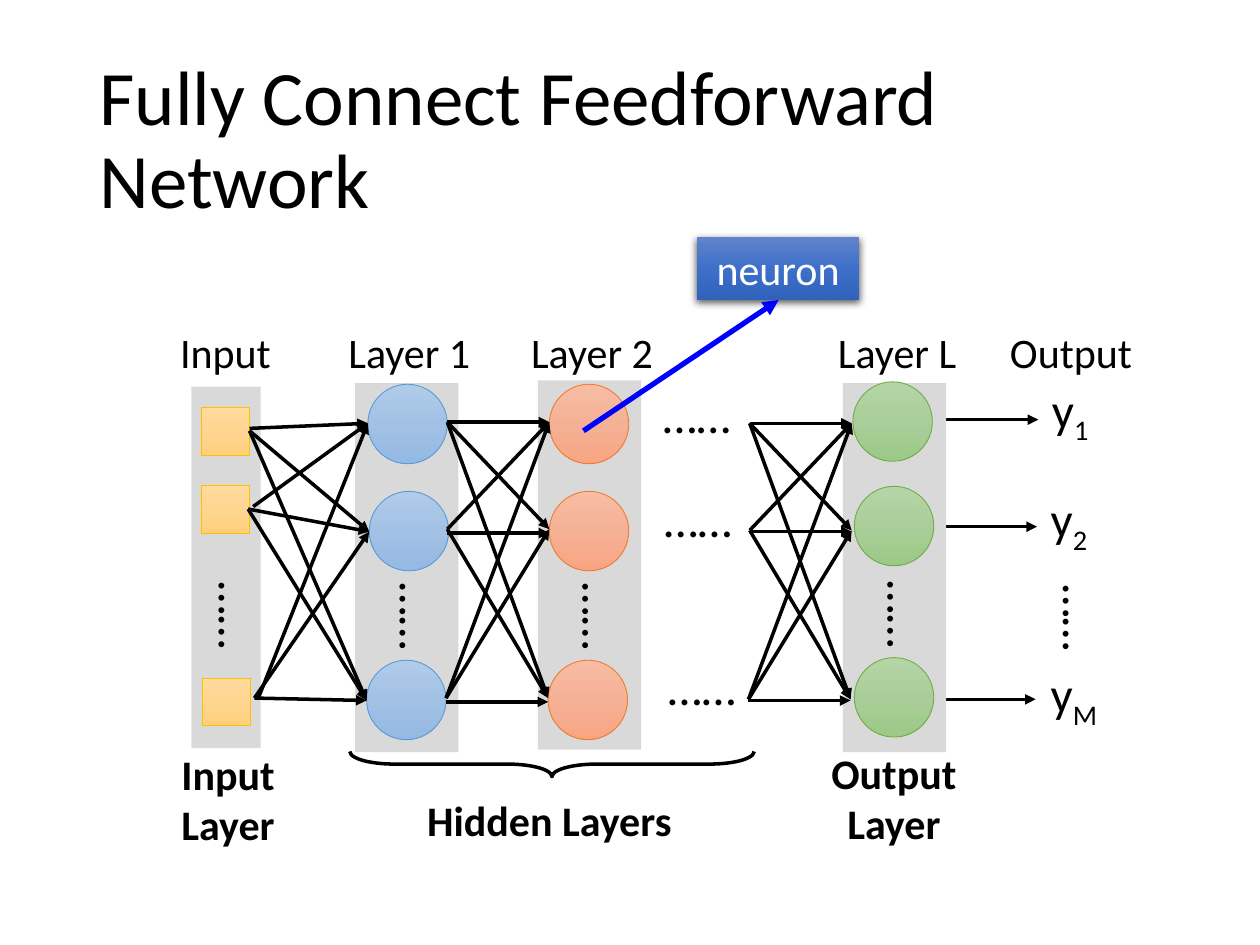
from dataclasses import dataclass, field
import copy
import itertools

import lxml.etree
import pptx
import pptx.dml.color
import pptx.enum.shapes
import pptx.enum.text
import pptx.oxml.ns
import pptx.util

Pt = pptx.util.Pt
qn = pptx.oxml.ns.qn
Shape = pptx.enum.shapes.MSO_SHAPE
Align = pptx.enum.text.PP_ALIGN
Anchor = pptx.enum.text.MSO_ANCHOR
AutoSize = pptx.enum.text.MSO_AUTO_SIZE
Point = tuple[float, float]

FONT = "Calibri"
BLACK = "000000"
BAND = "D9D9D9"
DOTS = "……"
DIAMETER = 45.4
SQUARE = 27.4


@dataclass
class Layer:
    label: str
    left: float
    top: float
    circles: list[Point]
    dots_top: float
    gradient: list[str]
    outline: str


@dataclass
class Bundle:
    starts: list[Point]
    ends: list[Point]
    straight_drops: tuple[float, float, float] = (0, 0, 0)
    start_nudges: dict[tuple[int, int], Point] = field(default_factory=dict)


LAYERS = [
    Layer("Layer 1", 203, 218.9, [(210.2, 219.6), (211, 280.8), (209.5, 377.3)],
          331.9, ["B1CBE9", "A3C1E5", "93B9E4"], "5B9BD5"),
    Layer("Layer 2", 307.4, 217.4, [(313.9, 219.6), (313.9, 280.8), (313.2, 377.3)],
          331.9, ["F7BDA5", "F5B196", "F8A582"], "ED7D31"),
    Layer("Layer L", 481.7, 218.9, [(487.4, 218.2), (488.2, 277.9), (488.2, 375.8)],
          330.5, ["B5D5A7", "AACE9A", "9CC987"], "70AD47"),
]
BUNDLES = [
    Bundle([(255.6, 241.2), (255.6, 302.4), (254.9, 398.9)],
           [(313.9, 241.2), (313.9, 302.4), (313.2, 398.9)], (0, 2.2, 2.2)),
    Bundle([(142.6, 246.2), (141.8, 290.9), (145.4, 398.9)],
           [(210.2, 241.9), (211, 303.8), (209.5, 400.3)],
           start_nudges={(0, 0): (0, -1.4), (1, 0): (2.9, -1.4), (2, 0): (2.2, 0)}),
    Bundle([(428.4, 241.9), (428.4, 303.1), (427.7, 399.6)],
           [(486.7, 241.9), (486.7, 303.1), (486, 399.6)], (0, 0.7, 0.7)),
]
INPUT_SQUARES = [(115.2, 232.6), (115.2, 277.2), (115.9, 387.4)]
INPUT_GRADIENT = ["FFDB9E", "FFD590", "FFD07C"]
LABELS = [("Input", 84.2, 182.9, 89.3, 36, False), ("Output", 567.4, 182.9, 89.3, 36, False),
          ("Input Layer", 93.6, 424.1, 73.4, 65.5, True),
          ("Hidden Layers", 232.6, 450.7, 162.7, 36, True),
          ("Output Layer", 465.1, 423.4, 91.4, 65.5, True)]
ROW_DOTS = [(367.9, 216), (368.6, 275.8), (370.8, 371.5)]
OUTPUTS = [("1", 594, 213.1), ("2", 593.3, 275.8), ("M", 593.3, 375.8)]
OUTPUT_ARROWS = [(510.5, 593.3, 239.8), (511.9, 592.6, 301), (520.6, 591.8, 399.6)]


def color(value: str) -> pptx.dml.color.RGBColor:
    return pptx.dml.color.RGBColor.from_string(value)


def write_text(frame, text: str, *, size: float = 24, bold: bool = False, fill: str = BLACK,
               align=Align.CENTER, subscript: str = "", spacing: float | None = None,
               anchor=Anchor.TOP, auto_size=AutoSize.SHAPE_TO_FIT_TEXT) -> None:
    frame.word_wrap = True
    frame.auto_size = auto_size
    frame.vertical_anchor = anchor
    paragraph = frame.paragraphs[0]
    paragraph.alignment = align
    if spacing:
        paragraph.line_spacing = spacing
    for part in filter(None, (text, subscript)):
        run = paragraph.add_run()
        run.text = part
        run.font.name, run.font.size, run.font.bold = FONT, Pt(size), bold
        run.font.color.rgb = color(fill)
    if subscript:
        run.font._element.set("baseline", "-25000")


def add_text(shapes, text: str, left: float, top: float, width: float, height: float,
             rotation: float = 0, **text_format) -> None:
    box = shapes.add_textbox(Pt(left), Pt(top), Pt(width), Pt(height))
    box.rotation = rotation
    write_text(box.text_frame, text, **text_format)


def add_dots(shapes, left: float, top: float, rotation: float = 0) -> None:
    add_text(shapes, DOTS, left, top, 60.5, 41, rotation, size=28)


def add_shape(shapes, kind, left: float, top: float, width: float, height: float,
              fill: str | None = None, gradient: list[str] | None = None,
              outline: str | None = None, weight: float = 0.5):
    shape = shapes.add_shape(kind, Pt(left), Pt(top), Pt(width), Pt(height))
    shape.shadow.inherit = False
    if gradient:
        shape.fill.gradient()
        shape.fill.gradient_angle = 270
        stop_list = shape._element.spPr.find(".//" + qn("a:gsLst"))
        stop_list.insert(1, copy.deepcopy(stop_list[0]))
        for stop, value, position in zip(shape.fill.gradient_stops, gradient, (0, 0.5, 1)):
            stop.color.rgb = color(value)
            stop.position = position
    elif fill:
        shape.fill.solid()
        shape.fill.fore_color.rgb = color(fill)
    else:
        shape.fill.background()
    if outline:
        shape.line.color.rgb = color(outline)
        shape.line.width = Pt(weight)
    else:
        shape.line.fill.background()
    return shape


def add_arrow(shapes, start: Point, end: Point, stroke: str = BLACK, weight: float = 2) -> None:
    connector = shapes.add_connector(pptx.enum.shapes.MSO_CONNECTOR.STRAIGHT,
                                     *(Pt(value) for value in (*start, *end)))
    connector.line.color.rgb = color(stroke)
    connector.line.width = Pt(weight)
    line = connector.line._get_or_add_ln()
    lxml.etree.SubElement(line, qn("a:tailEnd"), type="triangle")
    lxml.etree.SubElement(connector._element.spPr, qn("a:effectLst"))


def add_layer(shapes, layer: Layer) -> None:
    add_shape(shapes, Shape.RECTANGLE, layer.left, layer.top, 59, 211, BAND)
    add_text(shapes, layer.label, layer.left - 13.7, 182.9, 89.3, 36)
    for left, top in layer.circles:
        add_shape(shapes, Shape.OVAL, left, top, DIAMETER, DIAMETER,
                  gradient=layer.gradient, outline=layer.outline)
    add_dots(shapes, layer.left + 6.3, layer.dots_top, 90)


def add_bundle(shapes, bundle: Bundle) -> None:
    for row, column in itertools.product(range(3), repeat=2):
        drop = bundle.straight_drops[row] if row == column else 0
        shift_x, shift_y = bundle.start_nudges.get((row, column), (0, 0))
        start_x, start_y = bundle.starts[row]
        end_x, end_y = bundle.ends[column]
        add_arrow(shapes, (start_x + shift_x, start_y + shift_y + drop), (end_x, end_y + drop))


def add_neuron_callout(shapes) -> None:
    callout = add_shape(shapes, Shape.RECTANGLE, 398.2, 135.4, 92.9, 36,
                        gradient=["6183CB", "3E70CA", "3062BB"])
    effects = callout._element.spPr.find(qn("a:effectLst"))
    shadow = lxml.etree.SubElement(effects, qn("a:outerShdw"), blurRad=str(Pt(4.5)),
                                   dist=str(Pt(1.5)), dir="5400000", rotWithShape="0")
    tint = lxml.etree.SubElement(shadow, qn("a:srgbClr"), val=BLACK)
    lxml.etree.SubElement(tint, qn("a:alpha"), val="63000")
    write_text(callout.text_frame, "neuron", fill="FFFFFF")
    add_arrow(shapes, (333.4, 246.2), (445, 171.4), "0000FF", 3)


def main() -> None:
    presentation = pptx.Presentation()
    presentation.slide_width, presentation.slide_height = Pt(720), Pt(540)
    slide = presentation.slides.add_slide(presentation.slide_layouts[5])
    shapes = slide.shapes
    title = shapes.title
    title.left, title.top, title.width, title.height = Pt(49.7), Pt(28.8), Pt(620.6), Pt(104.4)
    write_text(title.text_frame, "Fully Connect Feedforward Network", size=44, spacing=0.9,
               align=Align.LEFT, anchor=Anchor.MIDDLE, auto_size=AutoSize.NONE)
    for text, left, top, width, height, bold in LABELS:
        add_text(shapes, text, left, top, width, height, bold=bold)
    brace = add_shape(shapes, Shape.RIGHT_BRACE, 308.2, 321.1, 14.4, 231.1,
                      outline=BLACK, weight=2)
    brace.adjustments[0] = 1.76
    brace.rotation = 90
    for start, end, height in OUTPUT_ARROWS:
        add_arrow(shapes, (start, height), (end, height))
    add_shape(shapes, Shape.RECTANGLE, 109.4, 221, 39.6, 206.6, BAND)
    for left, top in INPUT_SQUARES:
        add_shape(shapes, Shape.RECTANGLE, left, top, SQUARE, SQUARE,
                  gradient=INPUT_GRADIENT, outline="FFC000")
    add_dots(shapes, 105.8, 331.2, 90)
    for layer in LAYERS:
        add_layer(shapes.add_group_shape().shapes, layer)
    for left, top in ROW_DOTS:
        add_dots(shapes, left, top)
    for bundle in BUNDLES:
        add_bundle(shapes.add_group_shape().shapes, bundle)
    add_dots(shapes, 588.2, 332.6, 90)
    for index, left, top in OUTPUTS:
        add_text(shapes, "y", left, top, 49.7, 41, size=28, align=Align.LEFT, subscript=index)
    add_neuron_callout(shapes)
    presentation.save("out.pptx")


if __name__ == "__main__":
    main()
